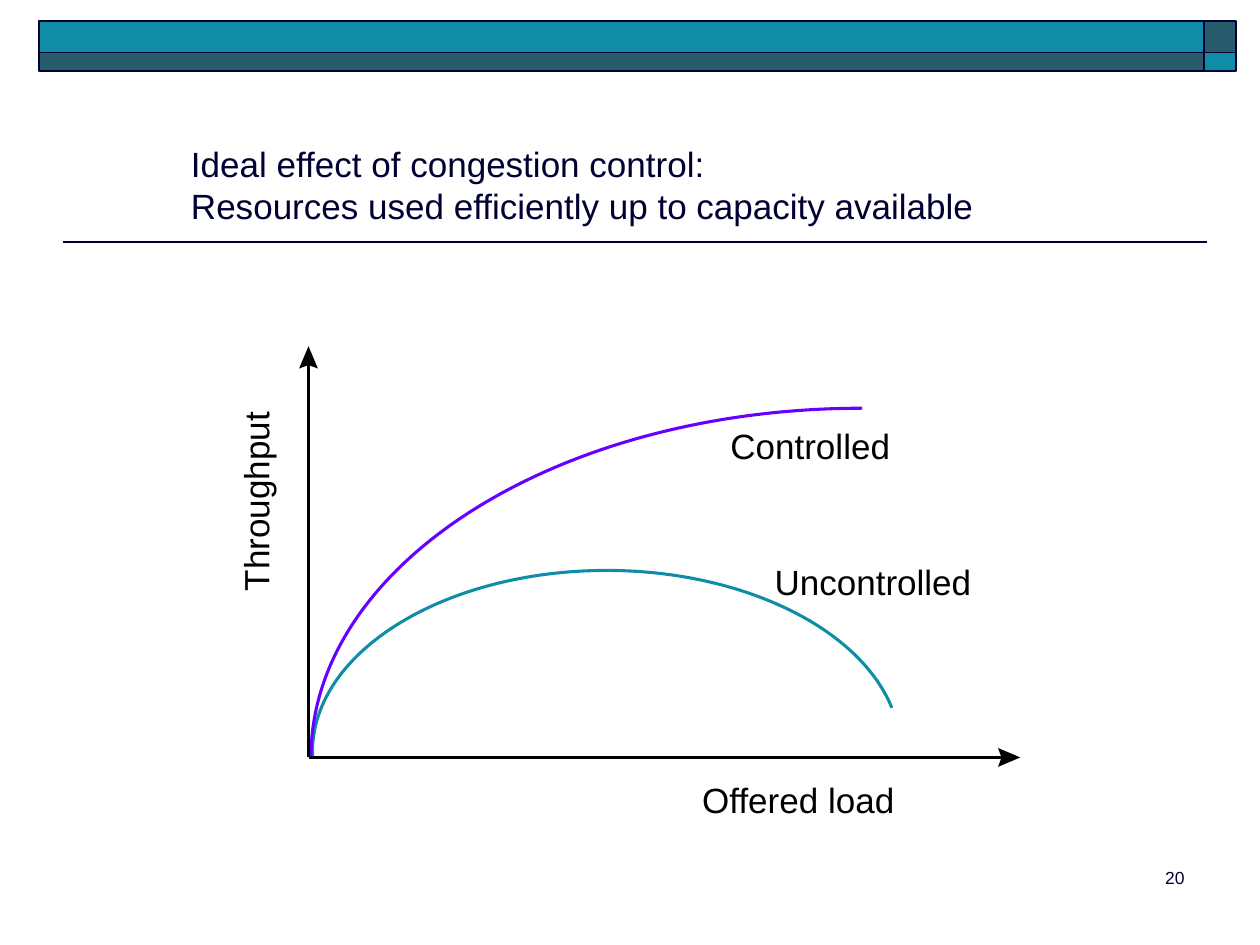
from dataclasses import dataclass

from pptx import Presentation
from pptx.dml.color import RGBColor
from pptx.enum.shapes import MSO_CONNECTOR, MSO_SHAPE
from pptx.enum.text import MSO_ANCHOR, MSO_AUTO_SIZE, PP_ALIGN
from pptx.oxml.ns import qn
from pptx.util import Cm, Pt

LEFT, CENTER, RIGHT = PP_ALIGN.LEFT, PP_ALIGN.CENTER, PP_ALIGN.RIGHT
TOP, NO_FIT = MSO_ANCHOR.TOP, MSO_AUTO_SIZE.NONE
STRAIGHT, RECT = MSO_CONNECTOR.STRAIGHT, MSO_SHAPE.RECTANGLE

COLORS = {
    "navy": "000033",
    "slate": "275C6D",
    "teal": "108DA6",
    "violet": "6600FF",
    "black": "000000",
}
FONT = "Arial"
GRAPH_WIDTH = 1.75
ORIGIN = (6.22, 15.27)
HEAD_LENGTH, HEAD_HALF, HEAD_NOTCH = 0.45, 0.19, 0.07


@dataclass
class Bar:
    left: float
    top: float
    width: float
    height: float
    color: str


@dataclass
class Curve:
    points: list[tuple[float, float]]
    color: str


@dataclass
class Label:
    text: str
    left: float
    top: float
    width: float
    rotation: float = 0


@dataclass
class Axis:
    tip: tuple[float, float]
    direction: tuple[int, int]


BARS = [
    Bar(24.28, 0.43, 0.64, 0.63, "slate"),
    Bar(0.78, 0.43, 23.5, 0.63, "teal"),
    Bar(0.78, 1.06, 23.5, 0.38, "slate"),
    Bar(24.28, 1.06, 0.64, 0.38, "teal"),
]
CURVES = [
    Curve([(6.3, 15.24), (6.3, 15.21), (6.3, 15.19), (6.3, 15.16),
           (6.3, 13.14), (8.96, 11.5), (12.23, 11.5),
           (14.95, 11.5), (17.32, 12.65), (17.98, 14.27)], "teal"),
    Curve([(6.27, 15.27), (6.27, 11.38), (11.24, 8.23), (17.38, 8.23)], "violet"),
]
LABELS = [
    Label("Offered load", 14.15, 15.7, 3.89),
    Label("Throughput", 3.34, 9.69, 3.61, 270),
    Label("Controlled", 14.72, 8.56, 3.23),
    Label("Uncontrolled", 15.62, 11.3, 3.96),
]
AXES = [Axis((20.57, 15.27), (1, 0)), Axis((6.22, 6.98), (0, -1))]


def rgb(name: str) -> RGBColor:
    return RGBColor.from_string(COLORS[name])


def write(s, text: str, *, size: float = 20, color: str = "black",
          align=CENTER, wrap: bool = True, margins: tuple = (0, 0)) -> None:
    tf = s.text_frame
    tf.auto_size = NO_FIT
    tf.word_wrap = wrap
    tf.vertical_anchor = TOP
    tf.margin_left = tf.margin_right = Cm(margins[0])
    tf.margin_top = tf.margin_bottom = Cm(margins[1])
    tf.text = text
    for p in tf.paragraphs:
        p.alignment = align
        p.space_before = Pt(0)
        for r in p.runs:
            r.font.name = FONT
            r.font.size = Pt(size)
            r.font.color.rgb = rgb(color)


def draw_line(sp, start: tuple, end: tuple, color: str, width: float) -> None:
    s = sp.add_connector(STRAIGHT, *(Cm(v) for v in (*start, *end)))
    s.line.color.rgb = rgb(color)
    s.line.width = Pt(width)
    s._element.spPr.append(s._element.makeelement(qn("a:effectLst"), {}))


def draw_bar(sp, bar: Bar) -> None:
    s = sp.add_shape(RECT, Cm(bar.left), Cm(bar.top), Cm(bar.width), Cm(bar.height))
    s.shadow.inherit = False
    s.fill.solid()
    s.fill.fore_color.rgb = rgb(bar.color)
    s.line.color.rgb = rgb("navy")
    s.line.width = Pt(1)


def draw_outline(sp, points: list[tuple], close: bool):
    (x, y), *rest = [(Cm(px), Cm(py)) for px, py in points]
    builder = sp.build_freeform(x, y)
    builder.add_line_segments(rest, close=close)
    s = builder.convert_to_shape()
    s.shadow.inherit = False
    return s


def draw_curve(sp, curve: Curve) -> None:
    s = draw_outline(sp, curve.points, False)
    segments = s._element.findall(".//" + qn("a:lnTo"))
    for i in range(0, len(segments), 3):
        bezier = segments[i].makeelement(qn("a:cubicBezTo"), {})
        segments[i].addprevious(bezier)
        for segment in segments[i:i + 3]:
            bezier.append(segment[0])
            segment.getparent().remove(segment)
    s.fill.background()
    s.line.color.rgb = rgb(curve.color)
    s.line.width = Pt(GRAPH_WIDTH)


def draw_axis(sp, axis: Axis) -> None:
    (x, y), (dx, dy) = axis.tip, axis.direction

    def at(back: float, side: float) -> tuple[float, float]:
        return x - back * dx - side * dy, y - back * dy + side * dx

    draw_line(sp, ORIGIN, at(0.3, 0), "black", GRAPH_WIDTH)
    head = [at(HEAD_LENGTH, HEAD_HALF), at(HEAD_LENGTH - HEAD_NOTCH, 0),
            at(HEAD_LENGTH, -HEAD_HALF), axis.tip]
    s = draw_outline(sp, head, True)
    s.fill.solid()
    s.fill.fore_color.rgb = rgb("black")
    s.line.fill.background()


def draw_label(sp, label: Label) -> None:
    s = sp.add_textbox(Cm(label.left), Cm(label.top), Cm(label.width), Cm(0.84))
    s.rotation = label.rotation
    write(s, label.text, wrap=False)


def main() -> None:
    prs = Presentation()
    prs.slide_width, prs.slide_height = Cm(25.4), Cm(19.05)
    slide = prs.slides.add_slide(prs.slide_layouts[5])
    sp = slide.shapes

    draw_line(sp, (24.34, 4.88), (1.27, 4.88), "navy", 1)
    for bar in BARS:
        draw_bar(sp, bar)
    for curve in CURVES:
        draw_curve(sp, curve)
    for axis in AXES:
        draw_axis(sp, axis)
    for label in LABELS:
        draw_label(sp, label)

    title = sp.title
    title.left, title.top = Cm(3.6), Cm(2.74)
    title.width, title.height = Cm(18.72), Cm(1.96)
    write(title, "Ideal effect of congestion control:\n"
          "Resources used efficiently up to capacity available",
          color="navy", align=LEFT, margins=(0.25, 0.13))

    number = sp.add_textbox(Cm(18.85), Cm(17.35), Cm(5.28), Cm(1.27))
    write(number, "20", size=10, color="navy", align=RIGHT, margins=(0.25, 0.13))

    prs.save("out.pptx")


if __name__ == "__main__":
    main()
